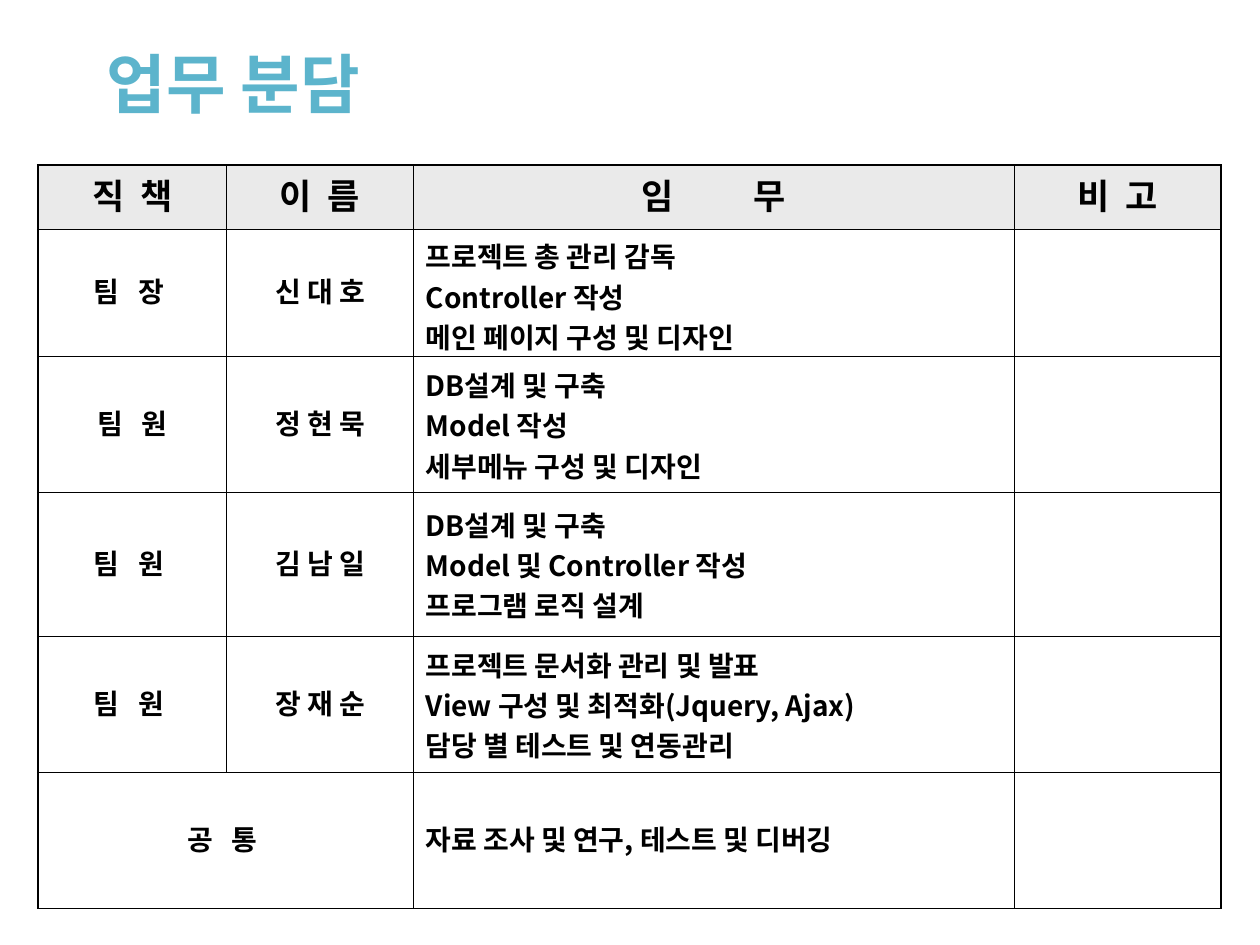
from lxml.etree import SubElement
from pptx import Presentation
from pptx.dml.color import RGBColor
from pptx.enum.text import MSO_ANCHOR, PP_ALIGN
from pptx.oxml import parse_xml
from pptx.oxml.ns import nsdecls, qn
from pptx.util import Inches, Pt

TITLE = RGBColor(0x5C, 0xB4, 0xCC)
BLACK = RGBColor(0, 0, 0)
HEADER = RGBColor(0xEA, 0xEA, 0xEA)
KOREAN = "Noto Sans CJK KR"
THIN, THICK = Pt(0.45), Pt(1.08)


def add_text(p, text, size, name, color):
    r = p.add_run()
    r.text = text
    for key, value in {"size": Pt(size), "name": name, "bold": True}.items():
        setattr(r.font, key, value)
    r.font.color.rgb = color
    SubElement(r.font._element, qn("a:ea"), typeface=KOREAN)


def set_borders(cell, widths):
    tcPr = cell._tc.get_or_add_tcPr()
    for i, (side, width) in enumerate(widths.items()):
        tcPr.insert(i, parse_xml(
            f'<a:ln{side} {nsdecls("a")} w="{width}"><a:solidFill>'
            f'<a:srgbClr val="{BLACK}"/></a:solidFill></a:ln{side}>'))


prs = Presentation()
prs.slide_width, prs.slide_height = Inches(10), Inches(7.5)
s = prs.slides.add_slide(prs.slide_layouts[6])

# Title
sp = s.shapes.add_textbox(Inches(0.75), Inches(0.34), Inches(7.03), Inches(0.63))
tf = sp.text_frame
tf.word_wrap = True
tf.vertical_anchor = MSO_ANCHOR.MIDDLE
add_text(tf.paragraphs[0], "업무 분담", 37, "Roboto", TITLE)

# Role table: position, name, tasks, remarks
rows = [
    ("직  책", "이  름", ["임          무"], "비  고"),
    ("팀   장 ", "신 대 호",
     ["프로젝트 총 관리 감독", "Controller 작성", "메인 페이지 구성 및 디자인"], ""),
    ("팀   원", "정 현 묵",
     ["DB설계 및 구축", "Model 작성", "세부메뉴 구성 및 디자인"], ""),
    ("팀   원 ", "김 남 일",
     ["DB설계 및 구축", "Model 및 Controller 작성", "프로그램 로직 설계"], ""),
    ("팀   원 ", "장 재 순",
     ["프로젝트 문서화 관리 및 발표", "View 구성 및 최적화(Jquery, Ajax)",
      "담당 별 테스트 및 연동관리"], ""),
    ("공   통 ", "", ["자료 조사 및 연구, 테스트 및 디버깅"], ""),
]
col_widths = [1.5, 1.48, 4.77, 1.64]
row_heights = [0.51, 1.01, 1.08, 1.14, 1.08, 1.08]
last_row, last_col = len(rows) - 1, len(col_widths) - 1

table = s.shapes.add_table(len(rows), len(col_widths), Inches(0.3), Inches(1.31),
                           Inches(9.39), Inches(5.91)).table
for column, width in zip(table.columns, col_widths):
    column.width = Inches(width)
for row, height in zip(table.rows, row_heights):
    row.height = Inches(height)
table.cell(last_row, 0).merge(table.cell(last_row, 1))

for i, row in enumerate(rows):
    for j, content in enumerate(row):
        cell = table.cell(i, j)
        cell.vertical_anchor = MSO_ANCHOR.MIDDLE
        cell.margin_left = cell.margin_right = Inches(0.1)
        cell.margin_top = cell.margin_bottom = Inches(0.05)
        if i == 0:
            cell.fill.solid()
            cell.fill.fore_color.rgb = HEADER
        else:
            cell.fill.background()
        set_borders(cell, {
            "L": THICK if j == 0 else THIN,
            "R": THICK if j == last_col else THIN,
            "T": THICK if i == 0 else THIN,
            "B": THICK if i == last_row else THIN,
        })

        # Task lists are left-aligned; all other cells are centred
        is_task = i > 0 and j == 2
        lines = content if isinstance(content, list) else [content]
        tf = cell.text_frame
        for n, line in enumerate(lines):
            if not line:
                continue
            p = tf.paragraphs[0] if n == 0 else tf.add_paragraph()
            p.alignment = PP_ALIGN.LEFT if is_task else PP_ALIGN.CENTER
            p.line_spacing = 1.0 if len(lines) > 1 else 0.81
            pPr = p._p.get_or_add_pPr()
            pPr.set("marL", str(Inches(0.38)))
            pPr.set("indent", str(-Inches(0.38)))
            add_text(p, line, 20 if i == 0 else 16, KOREAN if is_task else "Arial", BLACK)

prs.save("out.pptx")
